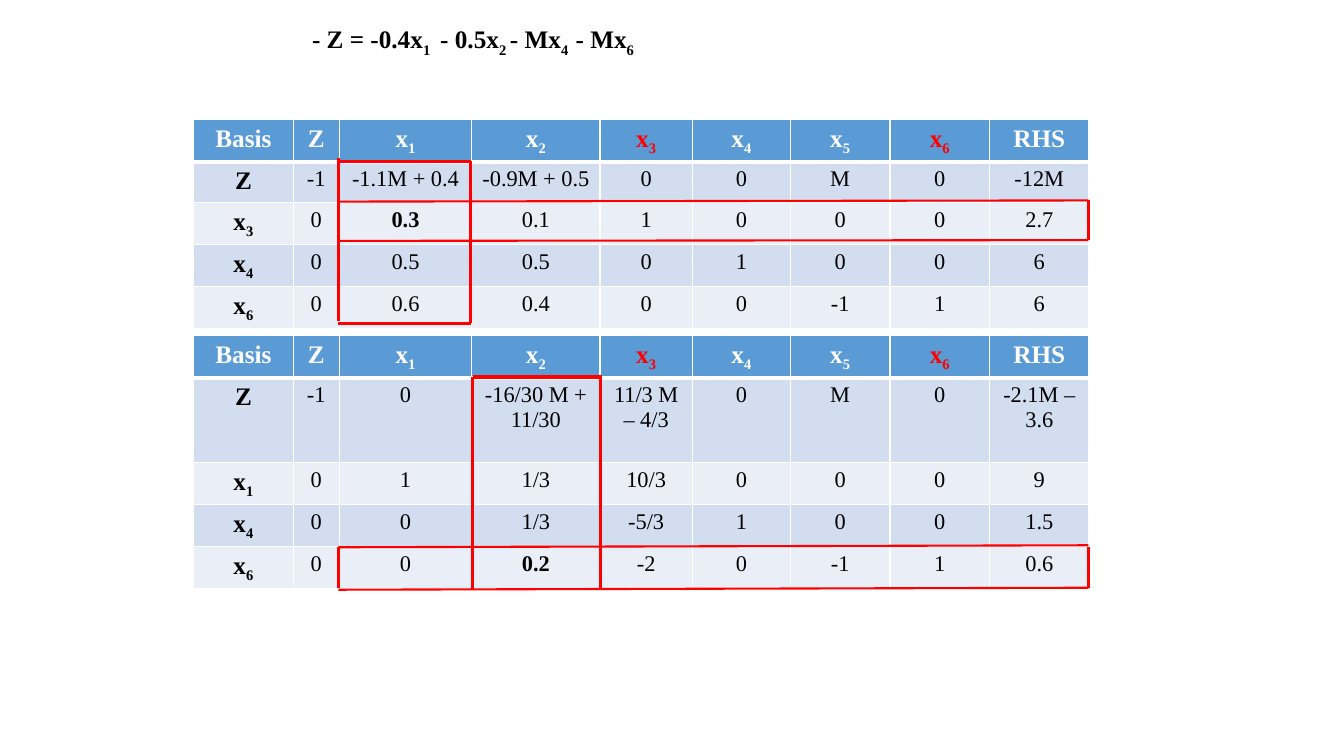
from dataclasses import dataclass

from lxml.etree import SubElement
from pptx import Presentation
from pptx.dml.color import RGBColor
from pptx.enum.shapes import MSO_CONNECTOR
from pptx.enum.text import MSO_ANCHOR, PP_ALIGN
from pptx.oxml.ns import qn
from pptx.util import Cm, Pt

COLORS = {
    "text": "000000",
    "white": "FFFFFF",
    "red": "FF0000",
    "header": "5B9BD5",
    "band_dark": "D2DEEF",
    "band_light": "EAEFF7",
}
FONT = "Times New Roman"
FORMULA = "- Z = -0.4x_1 _ - 0.5x_2 _- Mx_4  _- Mx_6"  # odd parts are subscripts
HEADINGS = ["Basis", "Z", "x_1", "x_2", "x_3", "x_4", "x_5", "x_6", "RHS"]
RED_HEADINGS = {"x_3", "x_6"}
COLUMN_WIDTHS = [2.51, 1.16, 3.34, 3.23, 2.33, 2.47, 2.51, 2.51, 2.51]
TABLE_LEFT = 4.88
ROW_HEIGHT = 1.03


@dataclass
class Tableau:
    top: float
    objective_height: float
    pivot: tuple[int, int]  # row and column, counting the heading row
    rows: list[list[str]]


@dataclass
class Rule:
    x1: float
    y1: float
    x2: float
    y2: float
    width: float = 2.25


TABLEAUS = [
    Tableau(3.02, ROW_HEIGHT, (2, 2), [
        ["Z", "-1", "-1.1M + 0.4", "-0.9M + 0.5", "0", "0", "M", "0", "-12M"],
        ["x_3", "0", "0.3", "0.1", "1", "0", "0", "0", "2.7"],
        ["x_4", "0", "0.5", "0.5", "0", "1", "0", "0", "6"],
        ["x_6", "0", "0.6", "0.4", "0", "0", "-1", "1", "6"],
    ]),
    Tableau(8.46, 2.14, (4, 3), [
        ["Z", "-1", "0", "-16/30 M + 11/30", "11/3 M – 4/3", "0", "M", "0", "-2.1M – 3.6"],
        ["x_1", "0", "1", "1/3", "10/3", "0", "0", "0", "9"],
        ["x_4", "0", "0", "1/3", "-5/3", "1", "0", "0", "1.5"],
        ["x_6", "0", "0", "0.2", "-2", "0", "-1", "1", "0.6"],
    ]),
]

ROW_LEFT, ROW_RIGHT = 8.53, 27.43
RULES = [
    # First tableau: pivot row, then pivot column
    Rule(ROW_LEFT, 5.08, ROW_RIGHT, 5.05, 1.5),
    Rule(ROW_LEFT, 6.07, ROW_RIGHT, 6.05, 1.5),
    Rule(ROW_RIGHT, 5.03, ROW_RIGHT, 6.05),
    Rule(ROW_LEFT, 3.99, ROW_LEFT, 8.1),
    Rule(11.86, 4.06, 11.86, 8.15),
    Rule(ROW_LEFT, 4.06, 11.86, 4.06),
    Rule(ROW_LEFT, 8.15, 11.86, 8.15),
    # Second tableau: pivot row, then pivot column
    Rule(ROW_LEFT, 14.86, ROW_RIGHT, 14.81, 1.5),
    Rule(ROW_LEFT, 13.79, ROW_RIGHT, 13.74, 1.5),
    Rule(ROW_RIGHT, 13.79, ROW_RIGHT, 14.81),
    Rule(ROW_LEFT, 13.79, ROW_LEFT, 14.81),
    Rule(15.14, 9.45, 15.14, 14.81),
    Rule(11.91, 9.5, 11.91, 14.86),
    Rule(11.91, 9.5, 15.14, 9.5),
]


def color(name: str) -> RGBColor:
    return RGBColor.from_string(COLORS[name])


def write(para, text: str, size: int, bold: bool, color_name: str) -> None:
    for index, part in enumerate(text.split("_")):
        span = para.add_run()
        span.text = part
        if index % 2:
            span._r.get_or_add_rPr().set("baseline", "-25000")
    para.font.name = FONT
    para.font.size = Pt(size)
    para.font.bold = bold
    para.font.color.rgb = color(color_name)


def add_borders(cell, row: int) -> None:
    properties = cell._tc.get_or_add_tcPr()
    widths = {"lnL": 1, "lnR": 1, "lnT": 3 if row == 1 else 1, "lnB": 3 if row == 0 else 1}
    for side, width in widths.items():
        line = SubElement(properties, qn(f"a:{side}"), w=str(Pt(width)))
        fill = SubElement(line, qn("a:solidFill"))
        SubElement(fill, qn("a:srgbClr"), val=COLORS["white"])


def add_formula(page) -> None:
    box = page.placeholders[1]
    box.left, box.top, box.width, box.height = Cm(2.36), Cm(0.48), Cm(29.21), Cm(17.09)
    box.text_frame.vertical_anchor = MSO_ANCHOR.TOP
    para = box.text_frame.paragraphs[0]
    para.line_spacing = 0.9
    para.space_before = Pt(0)
    properties = para._p.get_or_add_pPr()
    properties.set("marL", str(Cm(5.25)))
    properties.set("indent", "0")
    SubElement(properties, qn("a:buNone"))
    write(para, FORMULA, 18, True, "text")


def add_tableau(page, tableau: Tableau) -> None:
    lines = [HEADINGS, *tableau.rows]
    heights = [ROW_HEIGHT, tableau.objective_height] + [ROW_HEIGHT] * (len(lines) - 2)
    table = page.shapes.add_table(
        len(lines), len(HEADINGS), Cm(TABLE_LEFT), Cm(tableau.top),
        Cm(sum(COLUMN_WIDTHS)), Cm(sum(heights))).table
    table.first_row = table.horz_banding = False
    for column, width in zip(table.columns, COLUMN_WIDTHS):
        column.width = Cm(width)
    for r, (line, height) in enumerate(zip(lines, heights)):
        table.rows[r].height = Cm(height)
        band = "header" if r == 0 else "band_dark" if r % 2 else "band_light"
        for c, text in enumerate(line):
            cell = table.cell(r, c)
            add_borders(cell, r)
            cell.fill.solid()
            cell.fill.fore_color.rgb = color(band)
            label = r == 0 or c == 0
            ink = "text"
            if r == 0:
                ink = "red" if text in RED_HEADINGS else "white"
            para = cell.text_frame.paragraphs[0]
            para.alignment = PP_ALIGN.CENTER
            write(para, text, 18 if label else 16, label or (r, c) == tableau.pivot, ink)


def add_rule(page, rule: Rule) -> None:
    line = page.shapes.add_connector(
        MSO_CONNECTOR.STRAIGHT, Cm(rule.x1), Cm(rule.y1), Cm(rule.x2), Cm(rule.y2))
    line.line.color.rgb = color("red")
    line.line.width = Pt(rule.width)
    SubElement(line._element.spPr, qn("a:effectLst"))


def main() -> None:
    deck = Presentation()
    deck.slide_width, deck.slide_height = Cm(33.87), Cm(19.05)
    page = deck.slides.add_slide(deck.slide_layouts[1])
    title = page.shapes.title._element
    title.getparent().remove(title)

    # Objective function
    add_formula(page)

    # Simplex tableaus
    for tableau in TABLEAUS:
        add_tableau(page, tableau)

    # Pivot row and column outlines
    for rule in RULES:
        add_rule(page, rule)

    deck.save("out.pptx")


if __name__ == "__main__":
    main()
